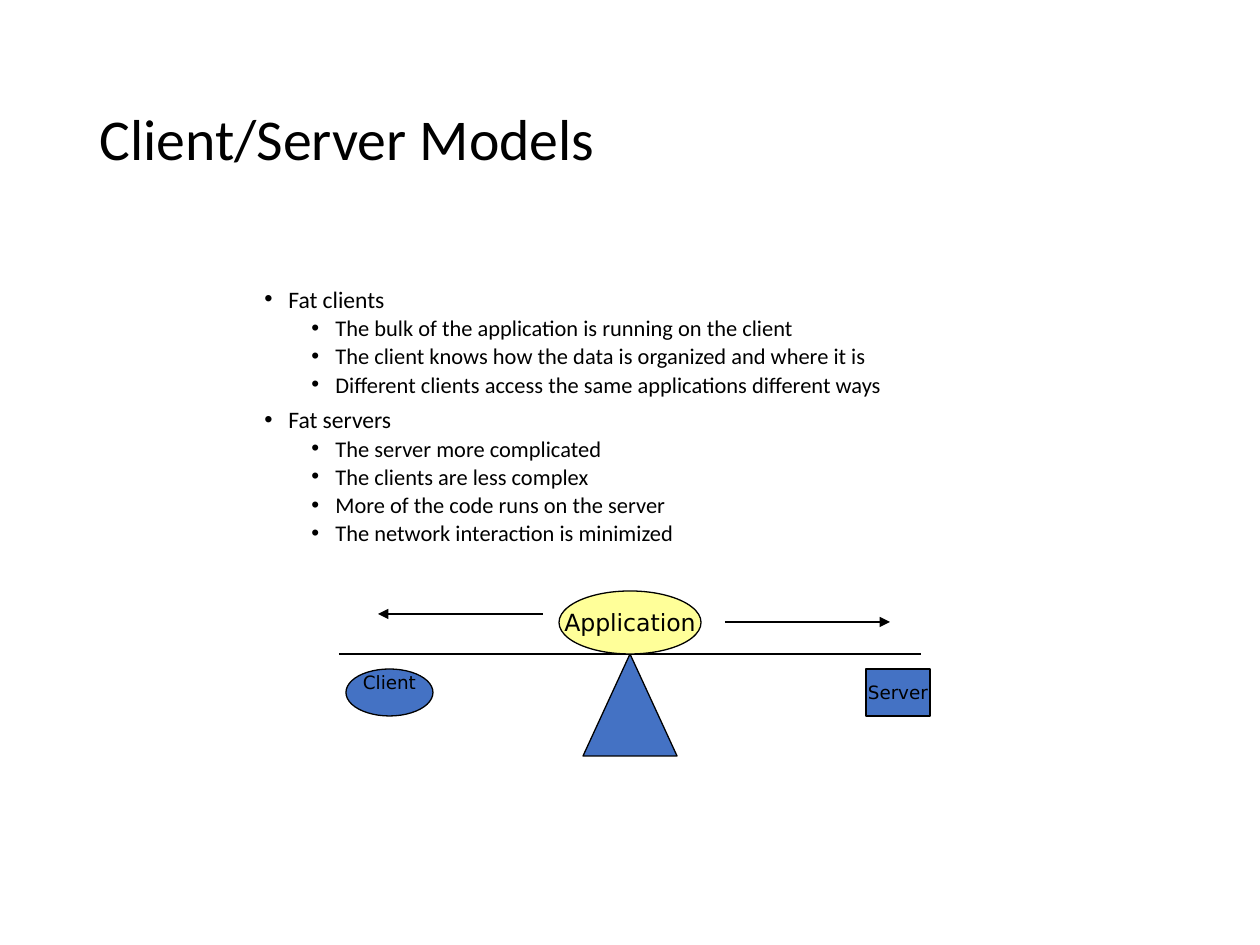
from dataclasses import dataclass

from lxml import etree
from pptx import Presentation
from pptx.dml.color import RGBColor
from pptx.enum.shapes import MSO_CONNECTOR, MSO_SHAPE
from pptx.enum.text import MSO_ANCHOR, PP_ALIGN
from pptx.oxml.ns import qn
from pptx.util import Emu, Pt

RECTANGLE = MSO_SHAPE.RECTANGLE
OVAL = MSO_SHAPE.OVAL
TRIANGLE = MSO_SHAPE.ISOSCELES_TRIANGLE
STRAIGHT = MSO_CONNECTOR.STRAIGHT
MIDDLE = MSO_ANCHOR.MIDDLE
CENTER = PP_ALIGN.CENTER
LEFT = PP_ALIGN.LEFT
EMU_PER_PX = 914400 / 126


@dataclass(frozen=True)
class Theme:
    """Colours, fonts and type sizes of the slide."""
    ink: RGBColor = RGBColor(0x00, 0x00, 0x00)
    blue: RGBColor = RGBColor(0x44, 0x72, 0xC4)
    yellow: RGBColor = RGBColor(0xFF, 0xFF, 0x99)
    text_font: str = "Calibri"
    label_font: str = "DejaVu Sans"
    title_size: float = 33
    topic_size: float = 13.5
    point_size: float = 12.8
    label_size: float = 10.5
    line_width: float = 0.75


def px(length):
    """Turn whole pixels into EMU."""
    return Emu(round(length * EMU_PER_PX))


def write_text(paragraph, text, *, font, size, color, align=LEFT, spacing=1.0, before=0):
    """Write one formatted run into a paragraph."""
    paragraph.alignment = align
    paragraph.line_spacing = spacing
    paragraph.space_before = Pt(before)
    run = paragraph.add_run()
    run.text = text
    run.font.name = font
    run.font.size = Pt(size)
    run.font.color.rgb = color


class SlideBuilder:
    """Holds the theme and the current slide."""

    def __init__(self, slide, theme):
        self.slide = slide
        self.theme = theme

    def title(self, text, left, top, width, height):
        """Add the slide title."""
        frame = self.slide.shapes.add_textbox(px(left), px(top), px(width), px(height)).text_frame
        frame.word_wrap = True
        frame.vertical_anchor = MIDDLE
        write_text(frame.paragraphs[0], text, font=self.theme.text_font,
                   size=self.theme.title_size, color=self.theme.ink, spacing=0.9)

    def outline(self, topics, left, top, width, height):
        """Add a two-level bulleted list."""
        frame = self.slide.shapes.add_textbox(px(left), px(top), px(width), px(height)).text_frame
        frame.word_wrap = True
        entries = [entry for topic, points in topics.items()
                   for entry in [(0, topic)] + [(1, point) for point in points]]
        sizes = (self.theme.topic_size, self.theme.point_size)
        for index, (level, text) in enumerate(entries):
            paragraph = frame.add_paragraph() if index else frame.paragraphs[0]
            write_text(paragraph, text, font=self.theme.text_font, size=sizes[level],
                       color=self.theme.ink, spacing=0.8, before=(7.5, 3.8)[level])
            paragraph.level = level
            properties = paragraph._p.get_or_add_pPr()
            properties.set("marL", str(px((24, 71)[level])))
            properties.set("indent", str(px(-24)))
            etree.SubElement(properties, qn("a:buFont"), typeface="Arial")
            etree.SubElement(properties, qn("a:buChar"), char="•")

    def figure(self, kind, left, top, width, height, fill):
        """Add an outlined, filled shape."""
        shape = self.slide.shapes.add_shape(kind, px(left), px(top), px(width), px(height))
        shape.shadow.inherit = False
        shape.fill.solid()
        shape.fill.fore_color.rgb = fill
        shape.line.color.rgb = self.theme.ink
        shape.line.width = Pt(self.theme.line_width)
        return shape

    def label(self, shape, text, size, lift=0):
        """Centre a label in a shape, optionally raised."""
        frame = shape.text_frame
        frame.word_wrap = False
        frame.vertical_anchor = MIDDLE
        frame.margin_top = 0
        frame.margin_bottom = px(2 * lift)
        write_text(frame.paragraphs[0], text, font=self.theme.label_font,
                   size=size, color=self.theme.ink, align=CENTER)

    def line(self, start, end, y, arrow=False):
        """Add a horizontal line, optionally with an arrowhead at its end."""
        connector = self.slide.shapes.add_connector(STRAIGHT, px(start), px(y), px(end), px(y))
        connector.line.color.rgb = self.theme.ink
        connector.line.width = Pt(self.theme.line_width)
        if arrow:
            etree.SubElement(connector.line._get_or_add_ln(), qn("a:tailEnd"), type="triangle")
        etree.SubElement(connector._element.spPr, qn("a:effectLst"))


def main():
    """Build and save the slide."""
    deck = Presentation()
    deck.slide_width, deck.slide_height = px(1260), px(945)
    theme = Theme()
    builder = SlideBuilder(deck.slides.add_slide(deck.slide_layouts[6]), theme)

    builder.title("Client/Server Models", 87, 50, 1086, 183)
    builder.outline({
        "Fat clients": [
            "The bulk of the application is running on the client",
            "The client knows how the data is organized and where it is",
            "Different clients access the same applications different ways",
        ],
        "Fat servers": [
            "The server more complicated",
            "The clients are less complex",
            "More of the code runs on the server",
            "The network interaction is minimized",
        ],
    }, 252, 284, 804, 310)

    pivot, beam_y = 630, 654
    server = builder.figure(RECTANGLE, 866, 669, 64, 47, theme.blue)
    builder.label(server, "Server", theme.label_size)
    client = builder.figure(OVAL, 346, 669, 87, 47, theme.blue)
    builder.label(client, "Client", theme.label_size, lift=10)
    builder.line(pivot - 291, pivot + 291, beam_y)
    builder.figure(TRIANGLE, pivot - 47, beam_y, 94, 102, theme.blue)
    application = builder.figure(OVAL, pivot - 71, beam_y - 63, 142, 63, theme.yellow)
    builder.label(application, "Application", theme.topic_size)
    builder.line(pivot - 87, pivot - 252, 614, arrow=True)
    builder.line(pivot + 95, pivot + 260, 622, arrow=True)

    deck.save("out.pptx")


if __name__ == "__main__":
    main()
